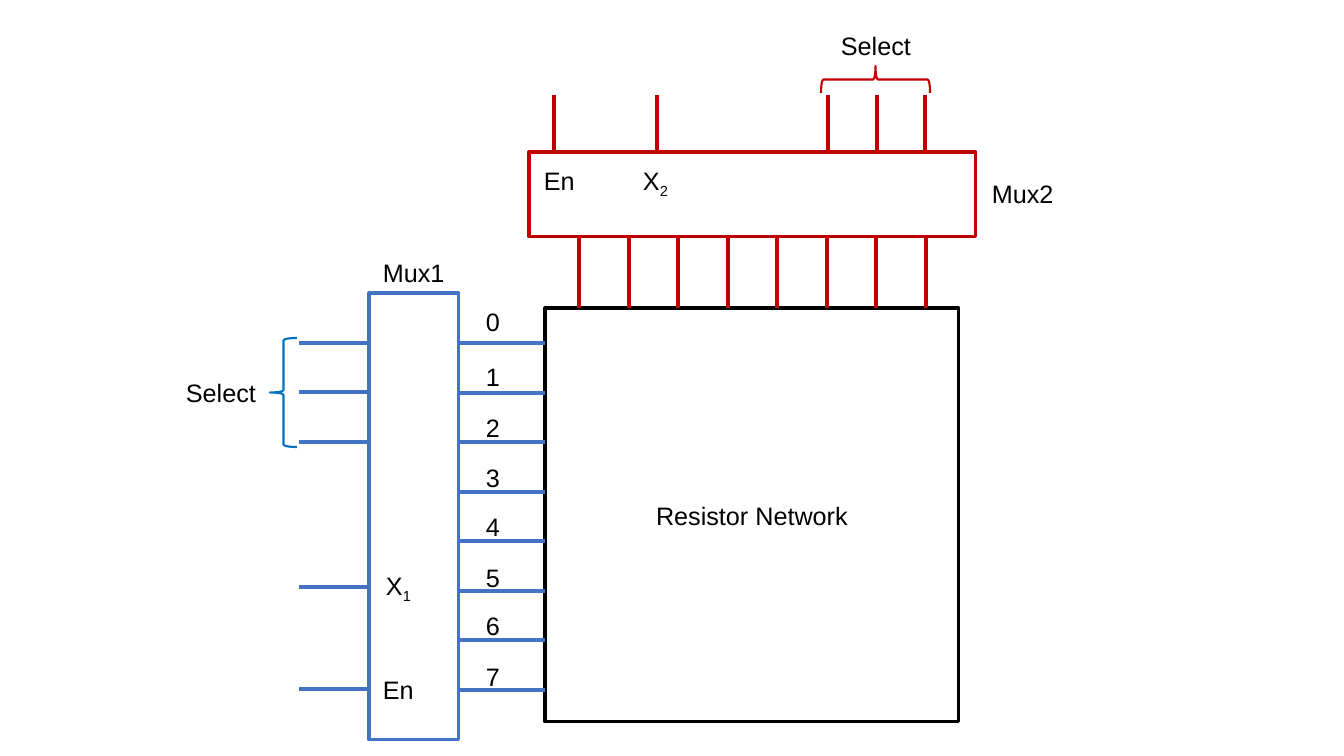
import dataclasses

import lxml.etree
import pptx
import pptx.dml.color
import pptx.enum.shapes
import pptx.enum.text
import pptx.oxml.ns
import pptx.util

EMU_PER_PIXEL = 914400 / 100.8


def pixels(length):
    return pptx.util.Emu(round(length * EMU_PER_PIXEL))


@dataclasses.dataclass(frozen=True)
class Theme:
    font: str = "Arial"
    text_size: int = 18
    text: str = "000000"
    paper: str = "FFFFFF"
    mux1: str = "4472C4"
    mux1_brace: str = "0070C0"
    mux2: str = "C00000"
    line_width: float = 2.25
    brace_width: float = 1.5


class Diagram:
    """Holds the style and the current slide."""

    def __init__(self, slide, theme):
        self.shapes = slide.shapes
        self.theme = theme

    def style_line(self, line, color, width):
        line.color.rgb = pptx.dml.color.RGBColor.from_string(color)
        line.width = pptx.util.Pt(width)

    def add_run(self, paragraph, text, subscript=False):
        run = paragraph.add_run()
        run.text = text
        run.font.name = self.theme.font
        run.font.size = pptx.util.Pt(self.theme.text_size)
        run.font.color.rgb = pptx.dml.color.RGBColor.from_string(self.theme.text)
        if subscript:
            run.font._element.set("baseline", "-25000")

    def block(self, left, top, width, height, color, text=""):
        shape = self.shapes.add_shape(
            pptx.enum.shapes.MSO_SHAPE.RECTANGLE, *map(pixels, (left, top, width, height)))
        shape.shadow.inherit = False
        shape.fill.solid()
        shape.fill.fore_color.rgb = pptx.dml.color.RGBColor.from_string(self.theme.paper)
        self.style_line(shape.line, color, self.theme.line_width)
        if text:
            shape.text_frame.vertical_anchor = pptx.enum.text.MSO_ANCHOR.MIDDLE
            paragraph = shape.text_frame.paragraphs[0]
            paragraph.alignment = pptx.enum.text.PP_ALIGN.CENTER
            self.add_run(paragraph, text)

    def wire(self, x1, y1, x2, y2, color):
        connector = self.shapes.add_connector(
            pptx.enum.shapes.MSO_CONNECTOR.STRAIGHT, *map(pixels, (x1, y1, x2, y2)))
        self.style_line(connector.line, color, self.theme.line_width)
        lxml.etree.SubElement(connector._element.spPr, pptx.oxml.ns.qn("a:effectLst"))

    def brace(self, left, top, width, height, color, rotation=0):
        shape = self.shapes.add_shape(
            pptx.enum.shapes.MSO_SHAPE.LEFT_BRACE, *map(pixels, (left, top, width, height)))
        shape.shadow.inherit = False
        shape.fill.background()
        shape.rotation = rotation
        self.style_line(shape.line, color, self.theme.brace_width)

    def label(self, left, top, width, text, subscript=""):
        box = self.shapes.add_textbox(*map(pixels, (left, top, width, 40)))
        box.text_frame.word_wrap = False
        box.text_frame.auto_size = pptx.enum.text.MSO_AUTO_SIZE.SHAPE_TO_FIT_TEXT
        paragraph = box.text_frame.paragraphs[0]
        self.add_run(paragraph, text)
        if subscript:
            self.add_run(paragraph, subscript, subscript=True)


presentation = pptx.Presentation()
presentation.slide_width = pixels(1344)
presentation.slide_height = pixels(756)
theme = Theme()
diagram = Diagram(presentation.slides.add_slide(presentation.slide_layouts[6]), theme)

# Resistor network and the eight channels on two of its sides
CHANNEL_OFFSETS = [round(index * 347 / 7) for index in range(8)]
diagram.block(545, 308, 414, 414, theme.text, "Resistor Network")
for offset in CHANNEL_OFFSETS:
    diagram.wire(545, 343 + offset, 460, 343 + offset, theme.mux1)
    diagram.wire(579 + offset, 237, 579 + offset, 308, theme.mux2)

# Multiplexers and their control inputs
diagram.block(369, 293, 90, 447, theme.mux1)
for y in (343, 392, 442, 587, 689):
    diagram.wire(369, y, 299, y, theme.mux1)
diagram.block(529, 152, 447, 85, theme.mux2)
for x in (925, 877, 828, 657, 554):
    diagram.wire(x, 152, x, 95, theme.mux2)

# Braces around the select inputs
diagram.brace(862, 25, 27, 109, theme.mux2, rotation=90)
diagram.brace(270, 338, 27, 109, theme.mux1_brace)

# Labels
for label in (
    (831, 25, 91, "Select"),
    (633, 160, 46, "X", "2"),
    (534, 160, 51, "En"),
    (982, 173, 83, "Mux2"),
    (373, 252, 83, "Mux1"),
    (176, 372, 91, "Select"),
    (376, 565, 46, "X", "1"),
    (373, 669, 51, "En"),
):
    diagram.label(*label)
for channel, top in enumerate((301, 356, 407, 457, 506, 557, 605, 656)):
    diagram.label(476, top, 34, str(channel))

presentation.save("out.pptx")
